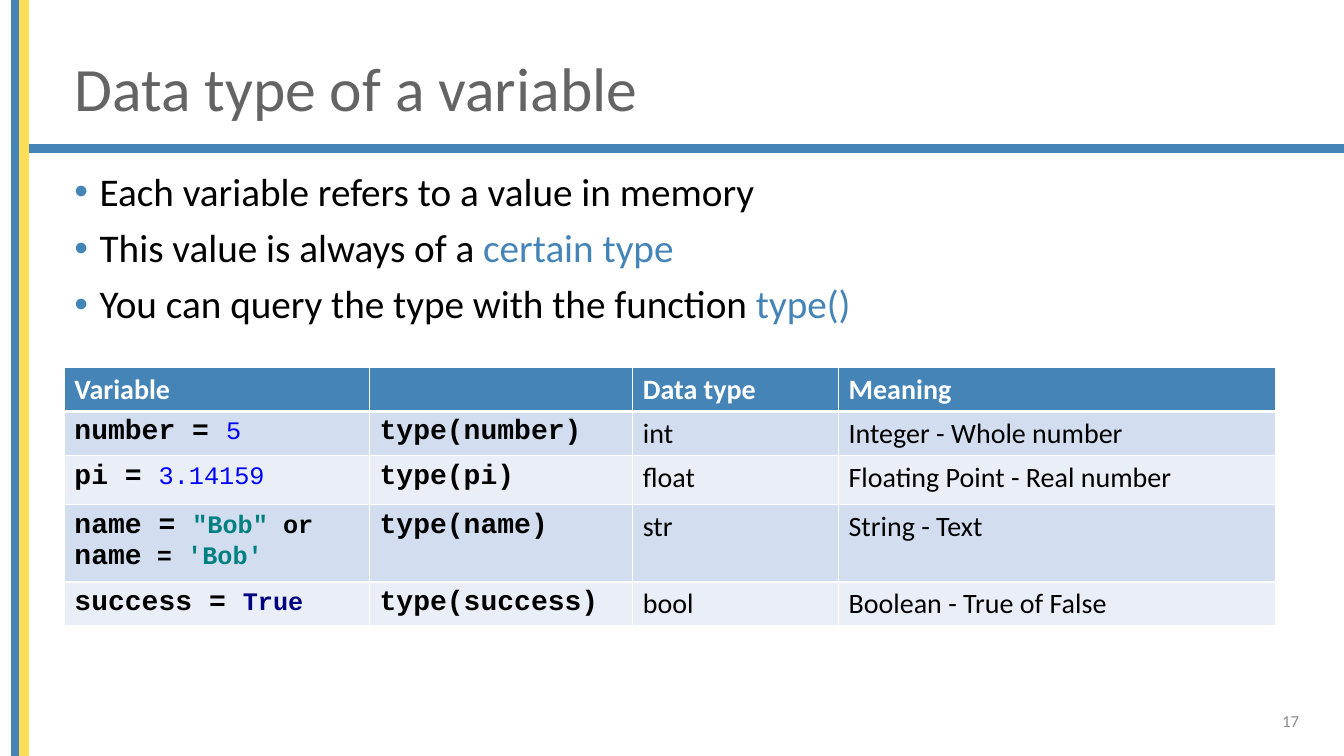
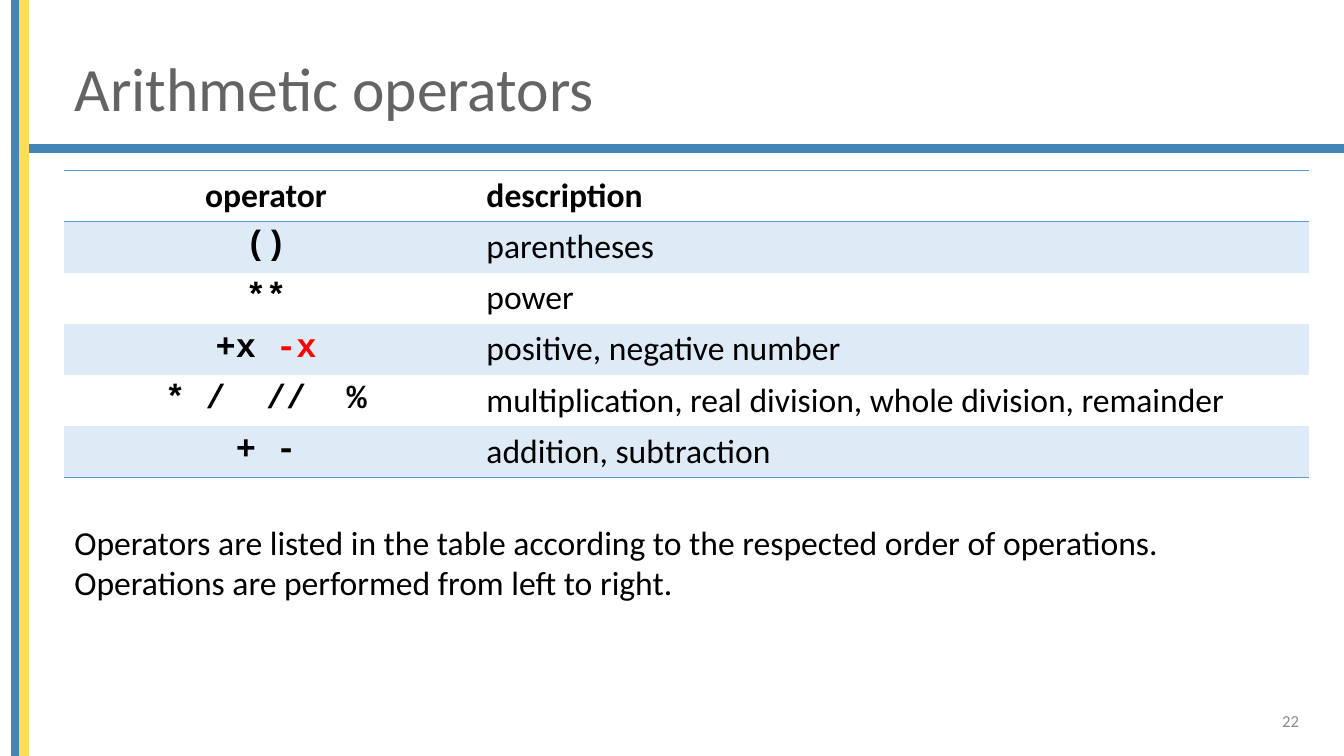
from lxml import etree
from pptx import Presentation
from pptx.dml.color import RGBColor
from pptx.enum import shapes, text
from pptx.oxml import ns
from pptx.util import Pt

BLUE, YELLOW, GREY, BLACK, WHITE = "4584B6", "FFDE57", "646464", "000000", "FFFFFF"
NUMBER, STRING, KEYWORD, RED = "0000FF", "008080", "000080", "FF0000"
LINE, BAND, PAGE = "5B9BD5", "DEEBF7", "8C8C8C"
BODY, CODE = "Calibri", "Courier New"
LEFT = 46
NO_STYLE = "{2D5ABB26-0587-4C30-8999-92F81FD0307C}"
LEFT_ALIGN, CENTER, RIGHT = (text.PP_ALIGN.LEFT, text.PP_ALIGN.CENTER,
                             text.PP_ALIGN.RIGHT)

BARS = [
    (13.5, 103.3, 946.5, 5.8, BLUE),
    (8.5, 0, 5.8, 540, BLUE),
    (14.4, 0, 5.8, 540, YELLOW),
]

BULLETS = [
    ["Each variable refers to a value in memory"],
    ["This value is always of a ", ("certain type", BLUE)],
    ["You can query the type with the function ", ("type()", BLUE)],
]

TYPES = [
    ("Variable", "", "Data type", "Meaning"),
    ([["number = ", ("5", NUMBER, 18, False)]],
     "type(number)", "int", "Integer - Whole number"),
    ([["pi = ", ("3.14159", NUMBER, 18, False)]],
     "type(pi)", "float", "Floating Point - Real number"),
    ([["name = ", ('"Bob" ', STRING, 18), ("or", BLACK, 18)],
      ["name", (" = ", BLACK, 18), ("'Bob'", STRING, 18)]],
     "type(name)", "str", "String - Text"),
    ([["success = ", ("True", KEYWORD, 18)]],
     "type(success)", "bool", "Boolean - True of False"),
]
TYPE_COLS = [218, 188, 147, 312.5]
TYPE_ROWS = [31.5, 31.5, 35, 52.5, 31.5]

OPERATORS = [
    ("operator", "description"),
    ("()", "parentheses"),
    ("**", "power"),
    ([["+x ", ("-x", RED)]], "positive, negative number"),
    ("* /  //  %", "multiplication, real division, whole division, remainder"),
    ("+ -", "addition, subtraction"),
]
OPERATOR_COLS = [288, 601]
OPERATOR_ROWS = [36.5] * len(OPERATORS)

ORDER_NOTE = [
    ["Operators are listed in the table according to the respected order of operations."],
    ["Operations are performed from left to right."],
]


def rgb(color):
    return RGBColor.from_string(color)


def write(tf, paragraphs, size, color=BLACK, font=BODY, bold=False, align=LEFT_ALIGN):
    for i, runs in enumerate(paragraphs):
        p = tf.paragraphs[0] if i == 0 else tf.add_paragraph()
        p.alignment = align
        p.font.name, p.font.size, p.font.bold = font, Pt(size), bold
        p.font.color.rgb = rgb(color)
        for run in runs:
            content, *style = (run,) if isinstance(run, str) else run
            r = p.add_run()
            r.text = content
            if style:
                r.font.color.rgb = rgb(style[0])
            if len(style) > 1:
                r.font.size = Pt(style[1])
            if len(style) > 2:
                r.font.bold = style[2]


def place(sp, x, y, w, h):
    sp.left, sp.top, sp.width, sp.height = Pt(x), Pt(y), Pt(w), Pt(h)


def add_text(s, box, paragraphs, size, wrap=True, **style):
    tf = s.shapes.add_textbox(*map(Pt, box)).text_frame
    tf.word_wrap = wrap
    write(tf, paragraphs, size, **style)
    return tf


def add_slide(prs, layout, title, number):
    s = prs.slides.add_slide(prs.slide_layouts[layout])
    for x, y, w, h, color in BARS:
        sp = s.shapes.add_shape(shapes.MSO_SHAPE.RECTANGLE, Pt(x), Pt(y), Pt(w), Pt(h))
        sp.shadow.inherit = False
        sp.fill.solid()
        sp.fill.fore_color.rgb = sp.line.color.rgb = rgb(color)
        sp.line.width = Pt(1)
    place(s.shapes.title, LEFT, 29, 848, 73)
    tf = s.shapes.title.text_frame
    tf.vertical_anchor = text.MSO_ANCHOR.MIDDLE
    tf.auto_size = text.MSO_AUTO_SIZE.NONE
    write(tf, [[title]], 44, GREY)
    tf.paragraphs[0].line_spacing = 0.9
    tf = add_text(s, (719, 500.5, 216, 28.8), [[str(number)]], 12, color=PAGE, align=RIGHT)
    tf.vertical_anchor = text.MSO_ANCHOR.MIDDLE
    return s


def add_bullets(sp, items):
    place(sp, LEFT, 119.5, 889, 364)
    tf = sp.text_frame
    tf.auto_size = text.MSO_AUTO_SIZE.NONE
    write(tf, items, 28)
    for p in tf.paragraphs:
        p.line_spacing, p.space_before = 0.9, Pt(10)
        pPr = p._p.get_or_add_pPr()
        pPr.set("marL", str(Pt(18)))
        pPr.set("indent", str(-Pt(18)))
        bullet_color = etree.Element(ns.qn("a:buClr"))
        etree.SubElement(bullet_color, ns.qn("a:srgbClr"), val=BLUE)
        bullet = etree.Element(ns.qn("a:buChar"), char="•")
        at = pPr.index(pPr.find(ns.qn("a:defRPr")))
        pPr[at:at] = [bullet_color, bullet]


def add_border(cell, side, color, width):
    ln = etree.SubElement(cell._tc.get_or_add_tcPr(), ns.qn("a:ln" + side), w=str(Pt(width)))
    fill = etree.SubElement(ln, ns.qn("a:solidFill"))
    etree.SubElement(fill, ns.qn("a:srgbClr"), val=color)


def add_table(s, top, rows, widths, heights, style):
    frame = s.shapes.add_table(len(rows), len(widths), Pt(LEFT), Pt(top),
                               Pt(sum(widths)), Pt(sum(heights)))
    table = frame.table
    table._tbl.tblPr.find(ns.qn("a:tableStyleId")).text = NO_STYLE
    for col, width in zip(table.columns, widths):
        col.width = Pt(width)
    for i, (row, height) in enumerate(zip(rows, heights)):
        table.rows[i].height = Pt(height)
        for j, content in enumerate(row):
            cell = table.cell(i, j)
            fill, borders, margin, font = style(i, j)
            for side, color, width in borders:
                add_border(cell, side, color, width)
            if fill:
                cell.fill.solid()
                cell.fill.fore_color.rgb = rgb(fill)
            else:
                cell.fill.background()
            cell.margin_left = cell.margin_right = Pt(margin)
            paragraphs = [[content]] if isinstance(content, str) else content
            write(cell.text_frame, paragraphs if content else [[]], **font)


def type_style(i, j):
    header, code = i == 0, i > 0 and j < 2
    fill = BLUE if header else ("EAEFF7", "D2DEEF")[i % 2]
    borders = [("L", WHITE, 1), ("R", WHITE, 1)]
    if i != 1:
        borders.append(("T", WHITE, 1))
    borders.append(("B", WHITE, 3 if header else 1))
    return fill, borders, 7.2, dict(size=20, color=WHITE if header else BLACK,
                                    font=CODE if code else BODY, bold=header or code)


def operator_style(i, j):
    header, last = i == 0, i == len(OPERATORS) - 1
    borders = [("T", LINE, 1)] if header else []
    if header or last:
        borders.append(("B", LINE, 1))
    return BAND if i % 2 else None, borders, 13.5, dict(
        size=24, font=CODE if j == 0 and not header else BODY,
        bold=header or j == 0, align=LEFT_ALIGN if j else CENTER)


def main():
    prs = Presentation()
    prs.slide_width, prs.slide_height = Pt(960), Pt(540)

    s = add_slide(prs, 1, "Data type of a variable", 17)
    add_bullets(s.placeholders[1], BULLETS)
    add_table(s, 262.5, TYPES, TYPE_COLS, TYPE_ROWS, type_style)

    s = add_slide(prs, 5, "Arithmetic operators", 22)
    add_table(s, 122, OPERATORS, OPERATOR_COLS, OPERATOR_ROWS, operator_style)
    add_text(s, (LEFT, 369, 814, 65.5), ORDER_NOTE, 24, wrap=False)

    prs.save("out.pptx")


if __name__ == "__main__":
    main()
